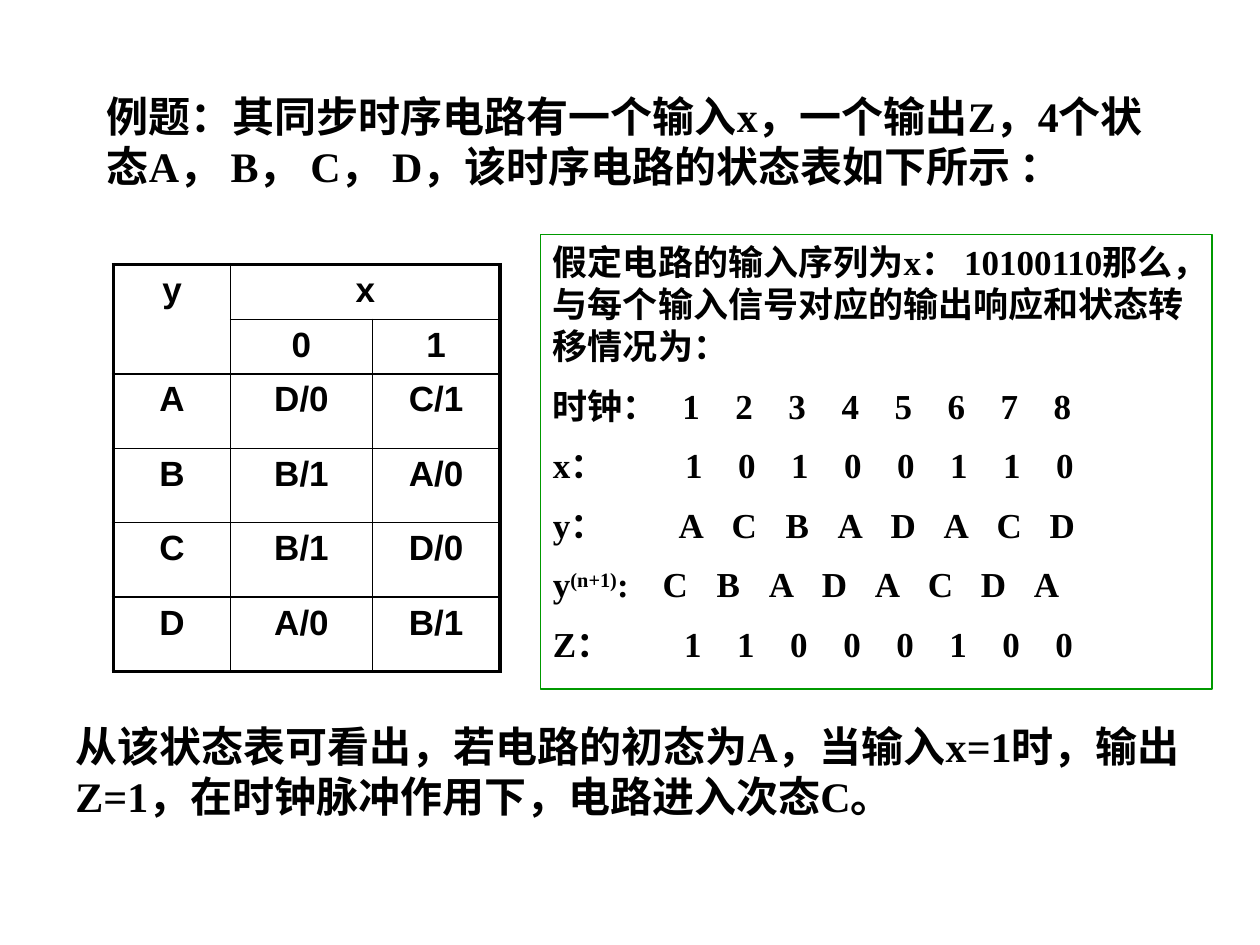
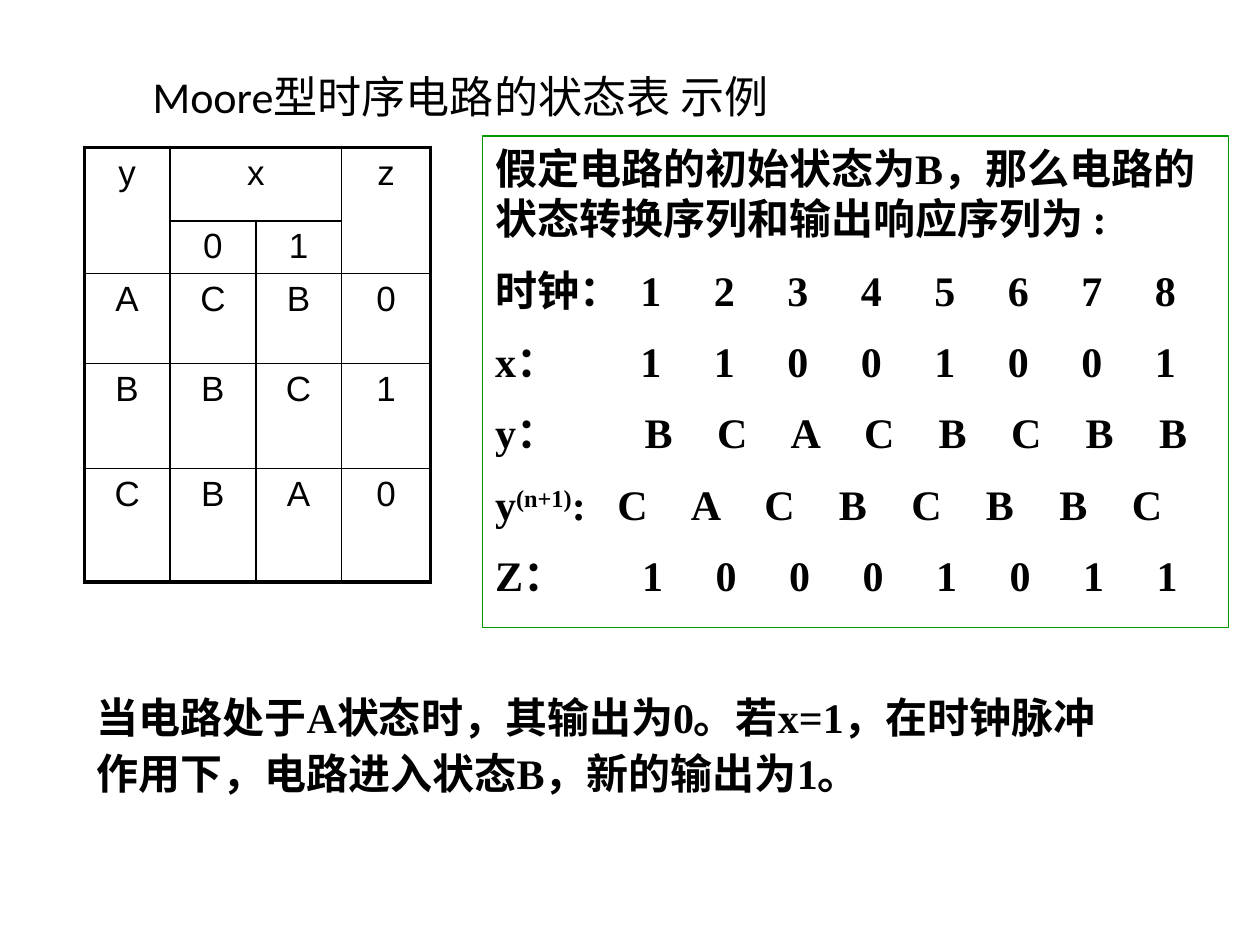
from lxml.etree import SubElement
from pptx import Presentation
from pptx.dml.color import RGBColor
from pptx.enum.shapes import MSO_SHAPE
from pptx.enum.text import MSO_ANCHOR, MSO_AUTO_SIZE, PP_ALIGN
from pptx.oxml.ns import qn
from pptx.util import Pt

COLORS = {"ink": "000000", "frame": "009900"}
HAN, SERIF, SANS, HEAD = "Noto Sans CJK SC", "Times New Roman", "Arial", "Calibri"
THIN, THICK = 1, 2.25


def write(para, text, size=24, font=SERIF, bold=True, align=PP_ALIGN.LEFT,
          before=0, line=None):
    """Fill a paragraph; text between carets is raised."""
    para.alignment, para.space_before = align, Pt(before)
    if line:
        para.line_spacing = line
    for i, part in enumerate(text.split("^")):
        run = para.add_run()
        run.text = part
        run.font.size, run.font.bold, run.font.name = Pt(size), bold, font
        run.font.color.rgb = RGBColor.from_string(COLORS["ink"])
        props = run._r.get_or_add_rPr()
        SubElement(props, qn("a:ea")).set("typeface", HAN)
        if i % 2:
            props.set("baseline", "30000")


def set_tabs(para, start, step, count):
    """Give a paragraph evenly spaced centred tab stops."""
    stops = SubElement(para._p.get_or_add_pPr(), qn("a:tabLst"))
    for i in range(count):
        stop = SubElement(stops, qn("a:tab"))
        stop.set("pos", str(int(Pt(start + i * step))))
        stop.set("algn", "ctr")


def set_edge(cell, side, width):
    """Draw one border of a table cell."""
    edge = SubElement(cell._tc.get_or_add_tcPr(), qn("a:ln" + side))
    edge.set("w", str(int(Pt(width))))
    fill = SubElement(edge, qn("a:solidFill"))
    SubElement(fill, qn("a:srgbClr")).set("val", COLORS["ink"])


class Deck:
    """Holds the presentation, its style and the current slide."""

    def __init__(self):
        """Start a 10 by 7.5 inch deck."""
        self.prs = Presentation()
        self.prs.slide_width, self.prs.slide_height = Pt(720), Pt(540)

    def add_slide(self, title=None):
        """Add a slide, with a title if one is given."""
        layout = self.prs.slide_layouts[5 if title else 6]
        self.slide = self.prs.slides.add_slide(layout)
        if title:
            head = self.slide.shapes.title
            head.left, head.top, head.width, head.height = map(
                Pt, (41.8, 37.4, 442.8, 34.6))
            frame = head.text_frame
            frame.auto_size = MSO_AUTO_SIZE.NONE
            frame.vertical_anchor = MSO_ANCHOR.MIDDLE
            write(frame.paragraphs[0], title, size=25.2, font=HEAD,
                  bold=False, align=PP_ALIGN.CENTER)

    def add_text(self, box, text, **form):
        """Add a wrapped paragraph of body text."""
        frame = self.slide.shapes.add_textbox(*map(Pt, box)).text_frame
        frame.word_wrap, frame.auto_size = True, MSO_AUTO_SIZE.SHAPE_TO_FIT_TEXT
        write(frame.paragraphs[0], text, **form)

    def add_trace(self, box, intro, rows, size, step):
        """Add a framed box with signal rows as (label, first stop, values)."""
        shape = self.slide.shapes.add_shape(MSO_SHAPE.RECTANGLE, *map(Pt, box))
        shape.shadow.inherit = False
        shape.fill.background()
        shape.line.color.rgb = RGBColor.from_string(COLORS["frame"])
        shape.line.width = Pt(0.75)
        frame = shape.text_frame
        frame.word_wrap, frame.auto_size = True, MSO_AUTO_SIZE.SHAPE_TO_FIT_TEXT
        frame.vertical_anchor = MSO_ANCHOR.TOP
        write(frame.paragraphs[0], intro, size=size)
        for label, start, values in rows:
            para = frame.add_paragraph()
            write(para, "\t".join([label, *values]), size=size, before=size / 2)
            set_tabs(para, start, step, len(values))

    def add_grid(self, left, top, cols, rows, data, spans, bold):
        """Add a state table; spans are (row, column, last row, last column)."""
        grid = self.slide.shapes.add_table(
            len(rows), len(cols), Pt(left), Pt(top),
            Pt(sum(cols)), Pt(sum(rows))).table
        grid.first_row = grid.horz_banding = False
        for col, width in zip(grid.columns, cols):
            col.width = Pt(width)
        for row, height in zip(grid.rows, rows):
            row.height = Pt(height)
        for r, c, last_r, last_c in spans:
            grid.cell(r, c).merge(grid.cell(last_r, last_c))
        for r, line in enumerate(data):
            for c, text in enumerate(line):
                cell = grid.cell(r, c)
                if cell.is_spanned:
                    continue
                high = cell.span_height if cell.is_merge_origin else 1
                wide = cell.span_width if cell.is_merge_origin else 1
                outer = {"L": c == 0, "R": c + wide == len(cols),
                         "T": r == 0, "B": r + high == len(rows)}
                for side, thick in outer.items():
                    set_edge(cell, side, THICK if thick else THIN)
                cell.fill.background()
                write(cell.text_frame.paragraphs[0], text, size=20, font=SANS,
                      bold=bold, align=PP_ALIGN.CENTER)


deck = Deck()

deck.add_slide()
deck.add_text((54, 48.2, 629.3, 64.8),
              "例题：其同步时序电路有一个输入x，一个输出Z，4个状态A，\u00a0B，\u00a0C，\u00a0D，"
              "该时序电路的状态表如下所示 ：")
deck.add_grid(64.8, 151.2, [67, 81, 73], [31, 31] + [42.5] * 4,
              [["y", "x", ""], ["", "0", "1"], ["A", "D/0", "C/1"],
               ["B", "B/1", "A/0"], ["C", "B/1", "D/0"], ["D", "A/0", "B/1"]],
              [(0, 0, 1, 0), (0, 1, 0, 2)], bold=True)
deck.add_text((36, 408.2, 666, 64.8),
              "从该状态表可看出，若电路的初态为A，当输入x=1时，输出Z=1，"
              "在时钟脉冲作用下，电路进入次态C。")
deck.add_trace((308.9, 133.9, 383.8, 259.9),
               "假定电路的输入序列为x：\u00a010100110那么，"
               "与每个输入信号对应的输出响应和状态转移情况为：",
               [("时钟：", 79, "12345678"), ("x：", 80.5, "10100110"),
                ("y：", 79, "ACBADACD"), ("y^(n+1)^:", 70, "CBADACDA"),
                ("Z：", 80, "11000100")], size=20, step=30.3)

deck.add_slide("Moore型时序电路的状态表 示例")
deck.add_grid(48.2, 84.2, [49, 49, 49, 51], [42, 30, 51.5, 60, 65],
              [["y", "x", "", "z"], ["", "0", "1", ""], ["A", "C", "B", "0"],
               ["B", "B", "C", "1"], ["C", "B", "A", "0"]],
              [(0, 0, 1, 0), (0, 1, 0, 2), (0, 3, 1, 3)], bold=False)
deck.add_text((48.2, 388.8, 596.2, 70.6),
              "当电路处于A状态时，其输出为0。若x=1，在时钟脉冲作用下，"
              "电路进入状态B，新的输出为1。", line=1.1)
deck.add_trace((275.8, 77.8, 426.3, 280.8),
               "假定电路的初始状态为B，那么电路的状态转换序列和输出响应序列为 :",
               [("时钟：", 89, "12345678"), ("x：", 89, "11001001"),
                ("y：", 93.5, "BCACBCBB"), ("y^(n+1)^:", 78.5, "CACBCBBC"),
                ("Z：", 90, "10001011")], size=24, step=42)

deck.prs.save("out.pptx")
